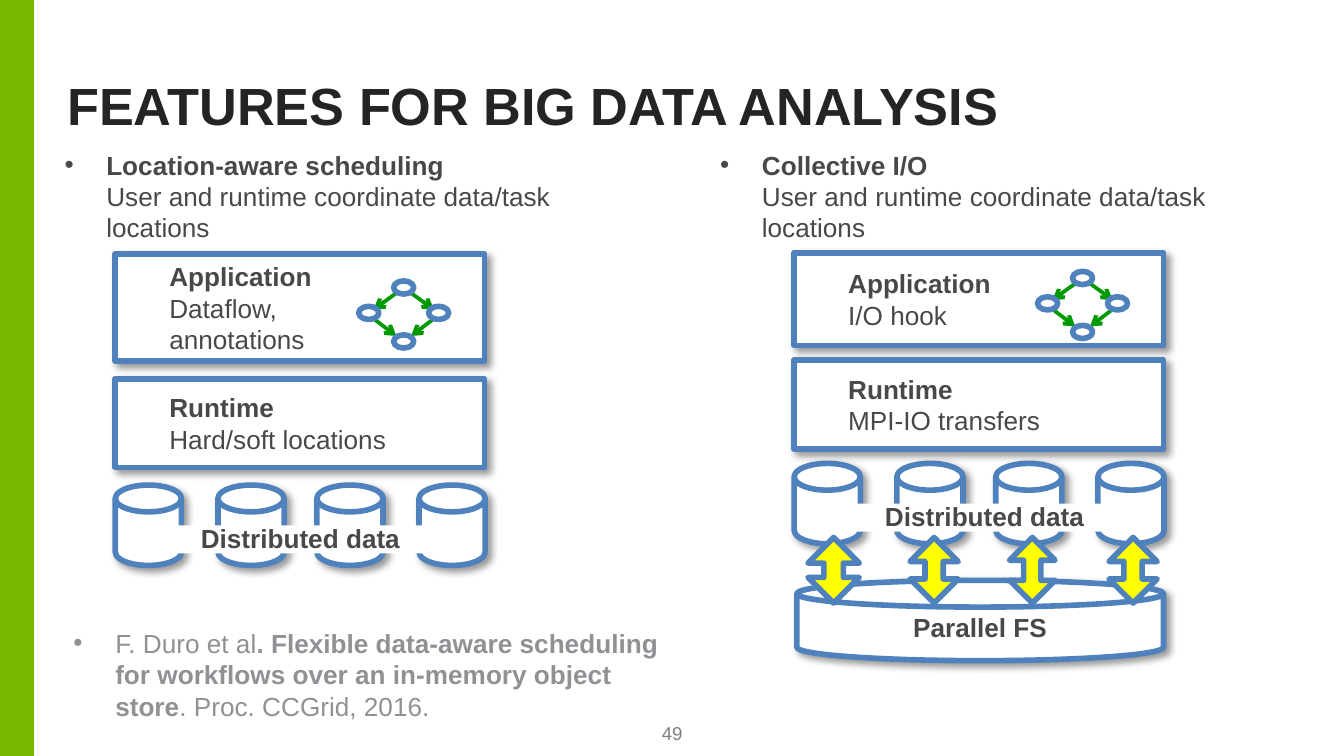
from lxml.etree import SubElement
from pptx import Presentation
from pptx.dml.color import RGBColor
from pptx.enum.shapes import MSO_CONNECTOR, MSO_SHAPE
from pptx.enum.text import MSO_ANCHOR, PP_ALIGN
from pptx.oxml.ns import qn
from pptx.util import Cm, Pt

WHITE = RGBColor(0xFF, 0xFF, 0xFF)
LIME = RGBColor(0x7A, 0xB8, 0x00)
BLUE = RGBColor(0x4F, 0x81, 0xBD)
GREEN = RGBColor(0x00, 0x99, 0x00)
YELLOW = RGBColor(0xFF, 0xFF, 0x00)
INK = RGBColor(0x23, 0x24, 0x25)
TEXT = RGBColor(0x47, 0x48, 0x4A)
PALE = RGBColor(0x8F, 0x91, 0x94)
GREY = RGBColor(0x80, 0x80, 0x80)
DISK = MSO_SHAPE.FLOWCHART_MAGNETIC_DISK


def draw(home, kind, box, fill=WHITE, line=BLUE, shade=False):
    """Add a preset shape, box in cm, with an optional soft shadow."""
    shape = home.add_shape(kind, *map(Cm, box))
    shape.shadow.inherit = False
    if fill is None:
        shape.fill.background()
    else:
        shape.fill.solid()
        shape.fill.fore_color.rgb = fill
    if line is None:
        shape.line.fill.background()
    else:
        shape.line.color.rgb = line
        shape.line.width = Pt(3)
    if shade:
        effects = shape._element.spPr.find(qn("a:effectLst"))
        outer = SubElement(effects, qn("a:outerShdw"), blurRad=str(Pt(4)),
                           dist=str(Pt(3)), dir="2700000", rotWithShape="0")
        black = SubElement(outer, qn("a:srgbClr"), val="000000")
        SubElement(black, qn("a:alpha"), val="40000")
    return shape


def write(shape, runs, color=TEXT, size=14, align=PP_ALIGN.LEFT, bullet=False):
    """Fill a shape with (text, bold) runs; a newline breaks the line."""
    shape.text_frame.word_wrap = True
    para = shape.text_frame.paragraphs[0]
    para.alignment = align
    if bullet:
        props = para._p.get_or_add_pPr()
        props.set("marL", str(Cm(0.79)))
        props.set("indent", str(-Cm(0.79)))
        SubElement(props, qn("a:buFont"), typeface="Arial")
        SubElement(props, qn("a:buChar"), char="•")
    para.font.name = "Arial"
    para.font.size = Pt(size)
    para.font.color.rgb = color
    for text, bold in runs:
        for i, part in enumerate(text.split("\n")):
            if i:
                para.add_line_break()
            if part:
                run = para.add_run()
                run.text = part
                run.font.bold = bold


deck = Presentation()
deck.slide_width, deck.slide_height = Cm(25.4), Cm(14.29)
slide = deck.slides.add_slide(deck.slide_layouts[5])
shapes = slide.shapes

draw(shapes, MSO_SHAPE.RECTANGLE, (0, 0, 0.64, 14.29), LIME, None)

title = shapes.title
title.left, title.top, title.width, title.height = map(Cm, (1.27, 0.86, 23.27, 1.73))
frame = title.text_frame
frame.margin_left = frame.margin_right = frame.margin_top = frame.margin_bottom = 0
frame.vertical_anchor = MSO_ANCHOR.BOTTOM
write(title, [("FEATURES FOR BIG DATA ANALYSIS", True)], INK, 28)
frame.paragraphs[0].line_spacing = 0.95

# Bulleted notes
task = "\nUser and runtime coordinate data/task locations"
notes = [
    ((0.97, 2.69, 11.43, 2.06), TEXT, [("Location-aware scheduling", True), (task, False)]),
    ((13.36, 2.69, 11.43, 2.06), TEXT, [("Collective I/O", True), (task, False)]),
    ((1.14, 11.73, 11.63, 2.06), PALE, [
        ("F. Duro et al", False),
        (". Flexible data-aware scheduling for workflows over an in-memory object store", True),
        (". Proc. CCGrid, 2016.", False)]),
]
for box, color, runs in notes:
    write(shapes.add_textbox(*map(Cm, box)), runs, color, bullet=True)

# Stacks: left, boxes (name, detail, top, height), graph top, disk top, mask, label left
stacks = [
    (2.18, [("Application", "Dataflow,\nannotations", 4.8, 2.03),
            ("Runtime", "Hard/soft locations", 7.16, 1.68)],
     5.44, 9.17, (3.15, 5.16), 2.34),
    (15.01, [("Application", "I/O hook", 4.78, 1.75),
             ("Runtime", "MPI-IO transfers", 6.81, 1.68)],
     5.26, 8.76, (15.98, 5.38), 15.27),
]
for left, boxes, high, top, (edge, wide), start in stacks:
    disks = shapes.add_group_shape().shapes
    for step in (0, 1.94, 3.81, 5.74):
        draw(disks, DISK, (left + step, top, 1.25, 1.52), shade=True)

    for name, detail, y, tall in boxes:
        rect = draw(shapes, MSO_SHAPE.RECTANGLE, (left, y, 6.98, tall), shade=True)
        rect.text_frame.margin_left = Cm(1.02)
        rect.text_frame.vertical_anchor = MSO_ANCHOR.MIDDLE
        write(rect, [(name, True), ("\n" + detail, False)])

    graph = shapes.add_group_shape().shapes
    mid = left + 5.45
    for side in (-1, 1):
        for x1, y1, x2, y2 in ((0.14, 0.1, 0.57, 0.41), (0.55, 0.6, 0.14, 0.91)):
            arrow = graph.add_connector(
                MSO_CONNECTOR.STRAIGHT, Cm(mid + side * x1), Cm(high + y1),
                Cm(mid + side * x2), Cm(high + y2))
            arrow.line.color.rgb = GREEN
            arrow.line.width = Pt(2)
            SubElement(arrow.line._get_or_add_ln(), qn("a:tailEnd"), type="arrow")
            SubElement(arrow._element.spPr, qn("a:effectLst"))
    for dx, dy in ((0, 0), (-0.66, 0.48), (0.66, 0.48), (0, 1.02)):
        node = (mid + dx - 0.19, high + dy - 0.13, 0.38, 0.25)
        draw(graph, MSO_SHAPE.OVAL, node, None)

    draw(shapes, MSO_SHAPE.RECTANGLE, (edge, top + 0.76, wide, 0.53), line=None)
    label = shapes.add_textbox(Cm(start), Cm(top + 0.58), Cm(6.68), Cm(0.86))
    write(label, [("Distributed data", True)], align=PP_ALIGN.CENTER)

# Parallel file system and its transfers
store = draw(shapes, DISK, (15.06, 10.97, 6.93, 1.52), shade=True)
store.text_frame.vertical_anchor = MSO_ANCHOR.MIDDLE
write(store, [("Parallel FS", True)], align=PP_ALIGN.CENTER)
for x, wide in ((15.27, 0.97), (17.2, 0.91), (19.08, 0.86), (20.96, 0.91)):
    arrow = draw(shapes, MSO_SHAPE.UP_DOWN_ARROW, (x, 10.16, wide, 1.24), YELLOW)
    arrow.adjustments[0], arrow.adjustments[1] = 0.34, 0.38

number = shapes.add_textbox(Cm(12.07), Cm(13.69), Cm(1.27), Cm(0.38))
frame = number.text_frame
frame.margin_left = frame.margin_right = frame.margin_bottom = 0
frame.vertical_anchor = MSO_ANCHOR.BOTTOM
write(number, [("49", False)], GREY, 10, PP_ALIGN.CENTER)

deck.save("out.pptx")
